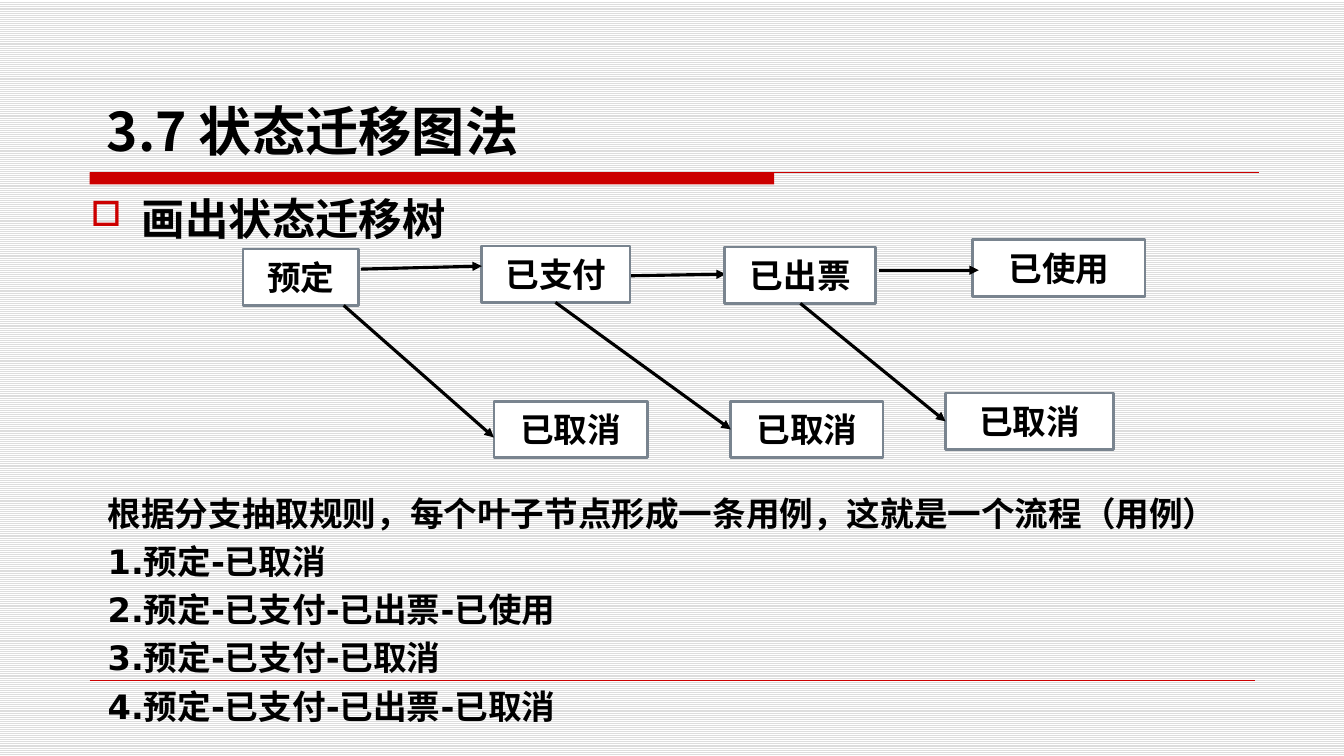
from typing import NamedTuple

from lxml import etree
from pptx import Presentation
from pptx.dml.color import RGBColor
from pptx.enum.dml import MSO_PATTERN
from pptx.enum.shapes import MSO_CONNECTOR, MSO_SHAPE
from pptx.enum.text import MSO_ANCHOR, PP_ALIGN
from pptx.oxml.ns import qn
from pptx.util import Inches, Pt

RECT = MSO_SHAPE.RECTANGLE
LINE = MSO_CONNECTOR.STRAIGHT
STRIPES = MSO_PATTERN.LIGHT_HORIZONTAL
TOP, MIDDLE, BOTTOM = MSO_ANCHOR.TOP, MSO_ANCHOR.MIDDLE, MSO_ANCHOR.BOTTOM
LEFT, CENTER = PP_ALIGN.LEFT, PP_ALIGN.CENTER
CELL = Inches(0.1)
COLS, ROWS = 133.33, 75
BODY, HEAD = "DejaVu Sans", "Noto Sans CJK SC"
RED, BLACK, WHITE, GRAY, STRIPE = "CC0000", "000000", "FFFFFF", "79848F", "DDDDDD"
HIGH = 5.6


class Area(NamedTuple):
    col: float
    row: float
    wide: float
    high: float


class State(NamedTuple):
    name: str
    col: float
    row: float
    wide: float


class Link(NamedTuple):
    col: float
    row: float
    end_col: float
    end_row: float


class Style(NamedTuple):
    size: float
    font: str = BODY
    align: int = LEFT
    gap: float = 0
    left: float = 0
    hang: float = 0


STATES = [
    State("预定", 24.1, 24.7, 11.5),
    State("已支付", 47.8, 24.4, 14.7),
    State("已出票", 71.9, 24.5, 15),
    State("已使用", 96.5, 23.8, 17.1),
    State("已取消", 49, 39.8, 15.2),
    State("已取消", 72.5, 39.8, 15.1),
    State("已取消", 93.8, 39, 16.7),
]
BACK = Link(60.1, 27.4, 72, 27.2)
LINKS = [
    Link(35.8, 26.7, 47.8, 26.4),
    Link(87.2, 26.8, 97.1, 26.8),
    Link(34.1, 30.3, 49, 43.4),
    Link(55.1, 30, 72.5, 42.6),
    Link(79.4, 30.1, 93.8, 41.8),
]
CASES = [
    "根据分支抽取规则，每个叶子节点形成一条用例，这就是一个流程（用例）",
    "1.预定-已取消",
    "2.预定-已支付-已出票-已使用",
    "3.预定-已支付-已取消",
    "4.预定-已支付-已出票-已取消",
]


def grid(*cells: float) -> list[int]:
    return [round(cell * CELL) for cell in cells]


def color(code: str) -> RGBColor:
    return RGBColor.from_string(code)


def add(parent, tag: str, **attrs: str):
    return etree.SubElement(parent, qn(tag), **attrs)


def write(shape, lines: list[str], style: Style, anchor: int) -> None:
    frame = shape.text_frame
    frame.word_wrap = True
    frame.vertical_anchor = anchor
    for i, line in enumerate(lines):
        para = frame.add_paragraph() if i else frame.paragraphs[0]
        para.alignment = style.align
        para.space_before = Pt(style.gap)
        left, hang = grid(style.left, style.hang)
        props = para._p.get_or_add_pPr()
        props.set("marL", str(left))
        props.set("indent", str(-hang))
        run = para.add_run()
        run.text = line
        run.font.size = Pt(style.size)
        run.font.bold = True
        run.font.name = style.font
        run.font.color.rgb = color(BLACK)
        add(run._r.get_or_add_rPr(), "a:ea", typeface=style.font)


def text(area: Area, lines: list[str], style: Style, anchor: int):
    box = slide.shapes.add_textbox(*grid(*area))
    write(box, lines, style, anchor)
    return box


def block(area: Area, fill: str, edge: str | None = None):
    shape = slide.shapes.add_shape(RECT, *grid(*area))
    shape.shadow.inherit = False
    shape.fill.solid()
    shape.fill.fore_color.rgb = color(fill)
    if edge:
        shape.line.color.rgb = color(edge)
        shape.line.width = Pt(2)
    else:
        shape.line.fill.background()
    return shape


def rule(link: Link, code: str, width: float):
    wire = slide.shapes.add_connector(LINE, *grid(*link))
    wire.line.color.rgb = color(code)
    wire.line.width = Pt(width)
    add(wire._element.spPr, "a:effectLst")
    return wire


def arrow(link: Link) -> None:
    wire = rule(link, BLACK, 2.25)
    add(wire.line._get_or_add_ln(), "a:tailEnd", type="triangle")


def bullet(box, code: str) -> None:
    props = box.text_frame.paragraphs[0]._p.get_or_add_pPr()
    add(add(props, "a:buClr"), "a:srgbClr", val=code)
    add(props, "a:buSzPct", val="80000")
    add(props, "a:buChar", char="□")


deck = Presentation()
deck.slide_width, deck.slide_height = grid(COLS, ROWS)
slide = deck.slides.add_slide(deck.slide_layouts[6])
back = slide.background.fill
back.patterned()
back.pattern = STRIPES
back.fore_color.rgb = color(STRIPE)
back.back_color.rgb = color(WHITE)

block(Area(8.9, 17.1, 67.9, 1.2), RED)
rule(Link(8.9, 17.1, 124.9, 17.1), RED, 0.75)
rule(Link(8.9, 67.5, 124.5, 67.5), RED, 0.25)
arrow(BACK)

topic = text(Area(8, 16.5, 86.2, 8.2), ["画出状态迁移树"],
             Style(31, gap=7.2, left=5.1, hang=5.1), BOTTOM)
bullet(topic, RED)
for state in STATES:
    node = block(Area(state.col, state.row, state.wide, HIGH), WHITE, GRAY)
    write(node, [state.name], Style(24, align=CENTER), MIDDLE)
for link in LINKS:
    arrow(link)
text(Area(4.5, 48.4, 119.8, 24.4), CASES, Style(24, gap=5.6, left=5.2), TOP)
text(Area(9.6, 3.3, 87.5, 13.3), ["3.7 状态迁移图法"], Style(38, HEAD), BOTTOM)

deck.save("out.pptx")
